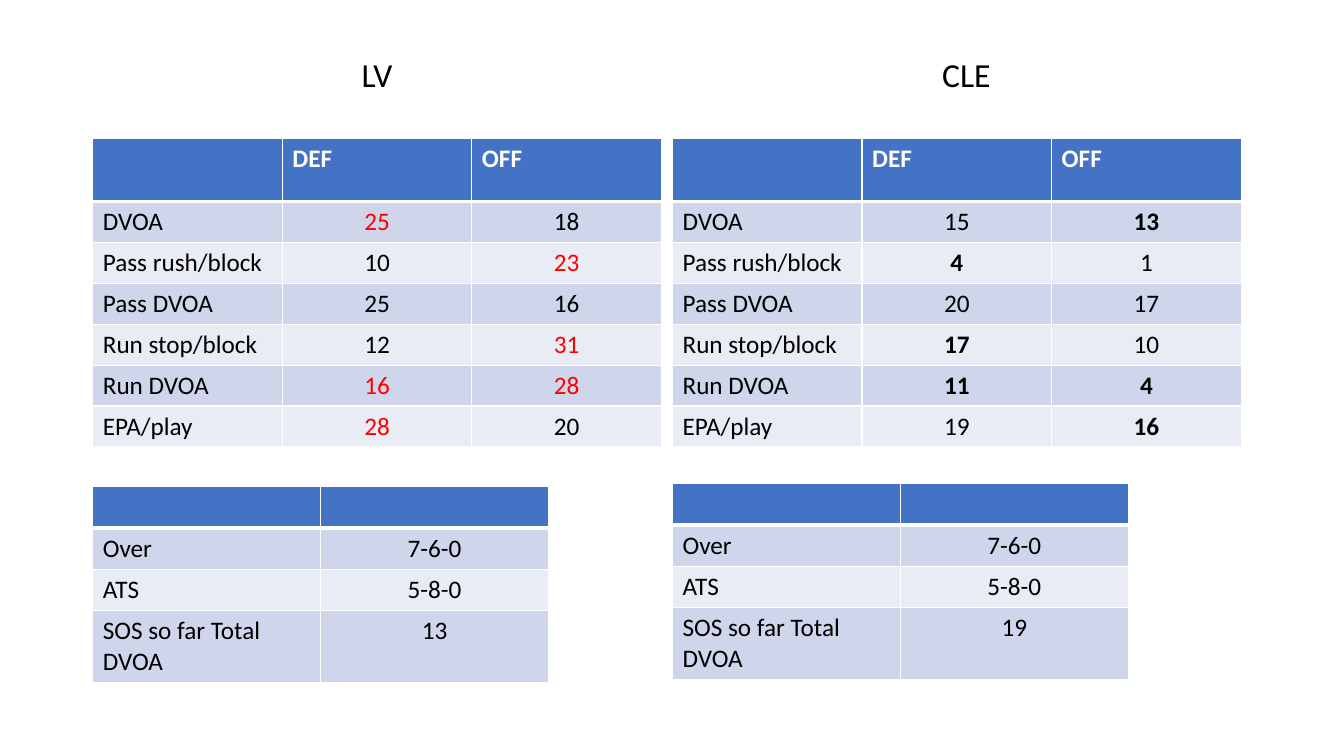
from lxml import etree
from pptx import Presentation
from pptx import util as u
from pptx.dml.color import RGBColor
from pptx.enum import text
from pptx.oxml.ns import qn

FONT = "Calibri"
BLACK, WHITE, RED = "000000", "FFFFFF", "FF0000"
HEADER_FILL = "4472C4"
BAND_FILLS = ("CFD5EA", "E9EBF5")

METRICS = ["DVOA", "Pass rush/block", "Pass DVOA", "Run stop/block", "Run DVOA", "EPA/play"]
# A trailing * marks a rank shown in the team's emphasis style.
TEAMS = [
    {"name": "LV", "left": 0.92, "name_box": (0.92, 5.64), "record_top": 4.83,
     "emphasis": {"color": RED},
     "def": ["25*", "10", "25", "12", "16*", "28*"],
     "off": ["18", "23*", "16", "31*", "28*", "20"],
     "record": ["7-6-0", "5-8-0", "13"]},
    {"name": "CLE", "left": 6.67, "name_box": (6.75, 5.67), "record_top": 4.8,
     "emphasis": {"bold": True},
     "def": ["15", "4*", "20", "17*", "11*", "19"],
     "off": ["13*", "1", "17", "10", "4*", "16*"],
     "record": ["7-6-0", "5-8-0", "19"]},
]


def rgb(code):
    """Turn a hex string into a colour."""
    return RGBColor.from_string(code)


def add_words(paragraph, words, size=18, color=BLACK, bold=False):
    """Add one formatted run to a paragraph."""
    run = paragraph.add_run()
    run.text = words
    run.font.name, run.font.size, run.font.bold = FONT, u.Pt(size), bold
    run.font.color.rgb = rgb(color)


def set_borders(cell, bottom):
    """Draw white cell borders, with the bottom one at its own width."""
    properties = cell._tc.get_or_add_tcPr()
    widths = {"a:lnL": 1, "a:lnR": 1, "a:lnT": 1, "a:lnB": bottom}
    for position, (side, width) in enumerate(widths.items()):
        line = etree.Element(qn(side), w=str(u.Pt(width)))
        fill = etree.SubElement(line, qn("a:solidFill"))
        etree.SubElement(fill, qn("a:srgbClr"), val=WHITE)
        properties.insert(position, line)


def add_banded_table(slide, left, top, column_width, heights, rows, emphasis):
    """Place a table with a blue header row and banded body rows."""
    columns = len(rows[0])
    table = slide.shapes.add_table(
        len(rows), columns, u.Inches(left), u.Inches(top),
        u.Inches(column_width * columns), u.Inches(sum(heights))).table
    for column in table.columns:
        column.width = u.Inches(column_width)
    for r, (values, height) in enumerate(zip(rows, heights)):
        table.rows[r].height = u.Inches(height)
        for c, value in enumerate(values):
            cell = table.cell(r, c)
            cell.fill.solid()
            cell.fill.fore_color.rgb = rgb(BAND_FILLS[(r - 1) % 2] if r else HEADER_FILL)
            set_borders(cell, 1 if r else 3)
            paragraph = cell.text_frame.paragraphs[0]
            if r and c:
                paragraph.alignment = text.PP_ALIGN.CENTER
            style = {} if r else {"color": WHITE, "bold": True}
            if value.endswith("*"):
                style = emphasis
            if value:
                add_words(paragraph, value.rstrip("*"), **style)


def fill_team_name(placeholder, box, name):
    """Put the team name in its heading placeholder."""
    left, top, width, height = map(u.Inches, box)
    placeholder.left, placeholder.top = left, top
    placeholder.width, placeholder.height = width, height
    frame = placeholder.text_frame
    frame.vertical_anchor = text.MSO_ANCHOR.BOTTOM
    heading = frame.paragraphs[0]
    heading.alignment = text.PP_ALIGN.CENTER
    heading.line_spacing, heading.space_before = 0.9, u.Pt(10)
    add_words(heading, name, size=24)


def add_team(slide, placeholder, team):
    """Build one team's half: name, rank table and record table."""
    name_left, name_width = team["name_box"]
    fill_team_name(placeholder, (name_left, 0.09, name_width, 0.9), team["name"])
    ranks = [("", "DEF", "OFF"), *zip(METRICS, team["def"], team["off"])]
    add_banded_table(slide, team["left"], 1.37, 1.88,
                     [0.63] + [0.4] * len(METRICS), ranks, team["emphasis"])
    labels = ["Over", "ATS", "SOS so far Total DVOA"]
    records = [("", ""), *zip(labels, team["record"])]
    add_banded_table(slide, team["left"], team["record_top"], 2.26,
                     [0.41, 0.41, 0.41, 0.71], records, team["emphasis"])


def build_comparison():
    """Create the two-team comparison slide and save it."""
    deck = Presentation()
    deck.slide_width, deck.slide_height = u.Inches(13.33), u.Inches(7.5)
    slide = deck.slides.add_slide(deck.slide_layouts.get_by_name("Comparison"))
    headings = {p.placeholder_format.idx: p for p in slide.placeholders}
    for unused in (0, 2, 4):
        element = headings[unused].element
        element.getparent().remove(element)
    for idx, team in zip((1, 3), TEAMS):
        add_team(slide, headings[idx], team)
    deck.save("out.pptx")


build_comparison()
